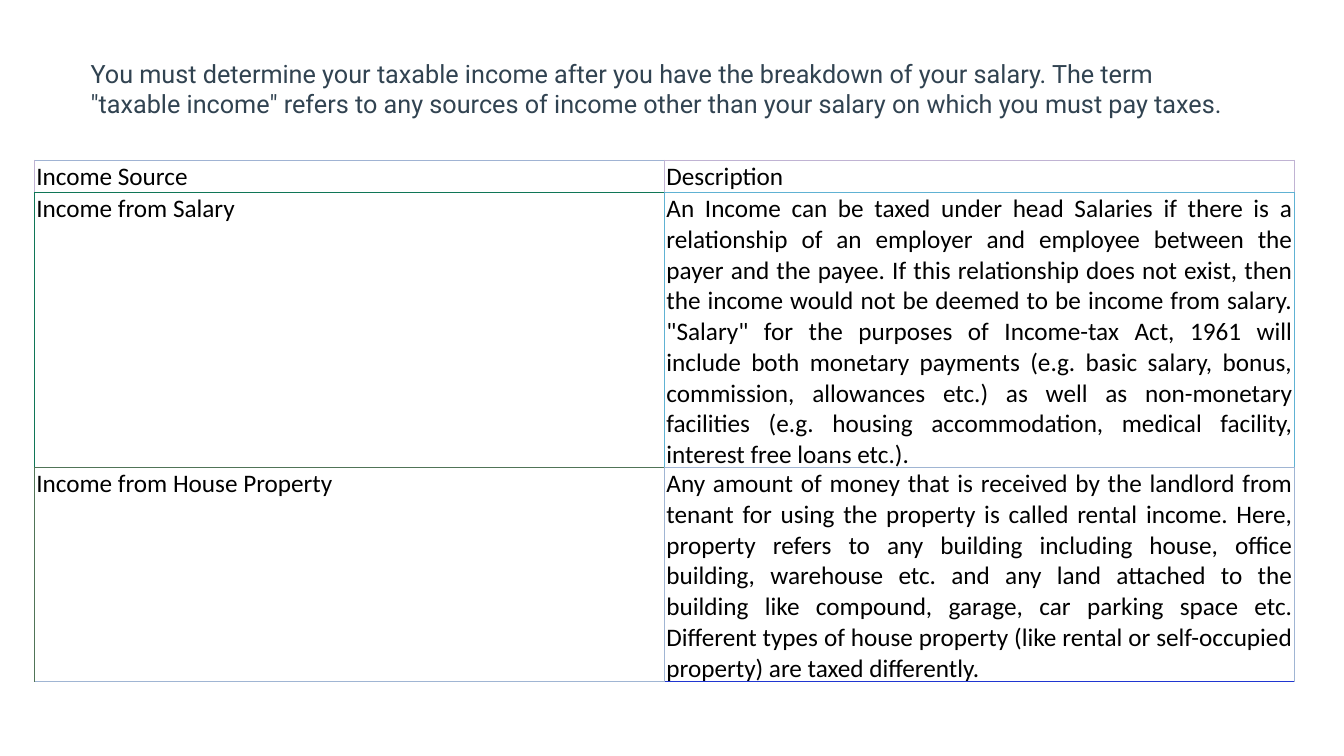
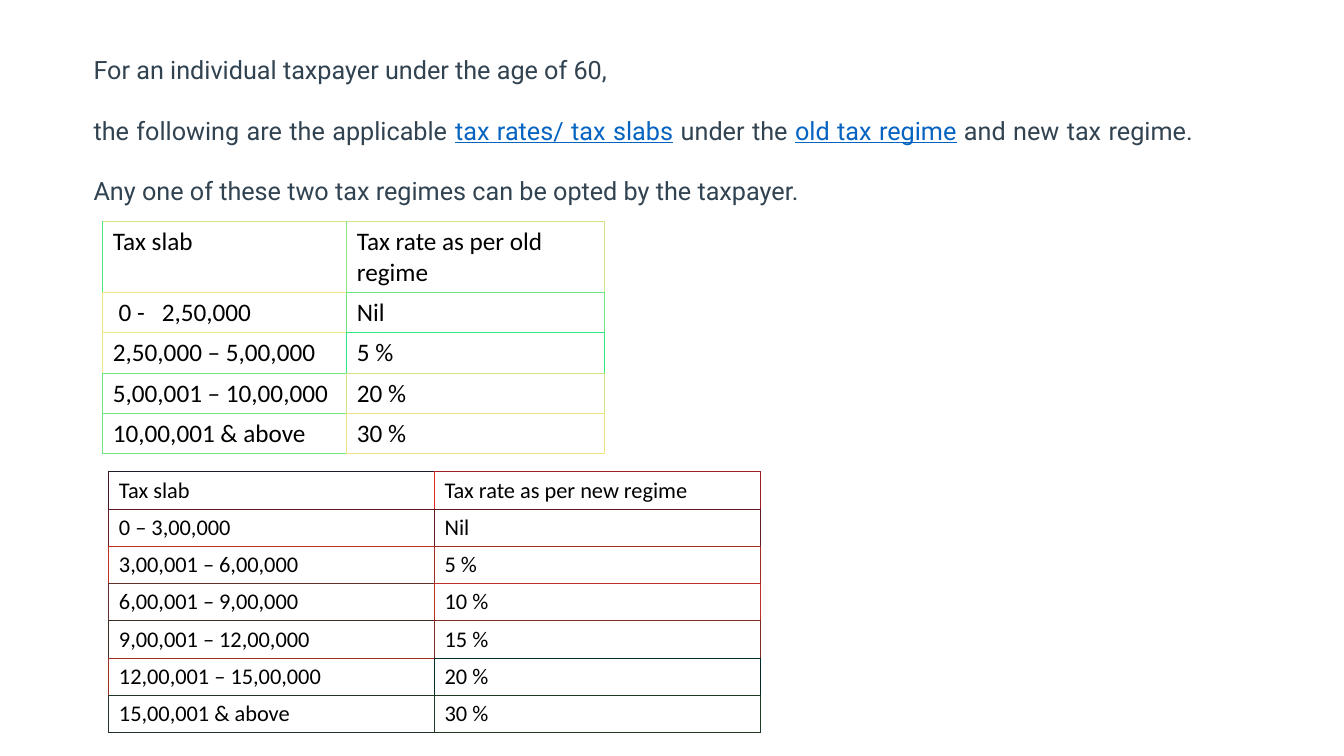
from lxml.etree import SubElement
from pptx import Presentation
from pptx.dml.color import RGBColor
from pptx.enum.text import MSO_AUTO_SIZE, PP_ALIGN
from pptx.oxml.ns import qn
from pptx.util import Inches, Pt

# Shared style
SLATE, LINK, BLACK, WHITE = "314351", "0563C1", "000000", "FFFFFF"
INTRO_FONT, TABLE_FONT = "Roboto", "Calibri"
BORDER_WIDTH = Pt(0.75)
CELL_MARGINS = (0.1, 0.05)


def rgb(value):
    return RGBColor.from_string(value)


def add_text(p, text, size=18, font=TABLE_FONT, color=BLACK, underline=None):
    r = p.add_run()
    r.text = text
    r.font.size = Pt(size)
    r.font.name = font
    r.font.color.rgb = rgb(color)
    r.font.underline = underline


def add_intro(s, left, top, width, height, paragraphs, align=None, spacing=None):
    """Each paragraph is a list of (text, is_link) pairs."""
    sp = s.shapes.add_textbox(Inches(left), Inches(top), Inches(width), Inches(height))
    tf = sp.text_frame
    tf.word_wrap = True
    tf.auto_size = MSO_AUTO_SIZE.SHAPE_TO_FIT_TEXT
    for i, parts in enumerate(paragraphs):
        p = tf.add_paragraph() if i else tf.paragraphs[0]
        p.alignment = align
        p.line_spacing = spacing
        for text, is_link in parts:
            add_text(p, text, font=INTRO_FONT, color=LINK if is_link else SLATE,
                     underline=is_link or None)


def set_borders(cell, colors):
    tcPr = cell._tc.get_or_add_tcPr()
    for side in "LRTB":
        ln = SubElement(tcPr, qn(f"a:ln{side}"), w=str(BORDER_WIDTH))
        fill = SubElement(ln, qn("a:solidFill"))
        SubElement(fill, qn("a:srgbClr"), val=colors[side])


def border_colors(tints, row, col):
    """Left and top use the cell's tint; right and bottom its neighbours' tints."""
    own = tints[row][col]
    right = tints[row][col + 1] if col + 1 < len(tints[row]) else own
    below = tints[row + 1][col] if row + 1 < len(tints) else own
    return {"L": own, "T": own, "R": right, "B": below}


def add_grid(s, left, top, cols, rows, texts, tints, special, size=18,
             margins=CELL_MARGINS, justify_body=False):
    """special holds the border colours that differ from the tint rule."""
    frame = s.shapes.add_table(len(rows), len(cols), Inches(left), Inches(top),
                               Inches(sum(cols)), Inches(sum(rows)))
    table = frame.table
    table.first_row = table.horz_banding = False
    for column, width in zip(table.columns, cols):
        column.width = Inches(width)
    for row, height in zip(table.rows, rows):
        row.height = Inches(height)
    for i, row_texts in enumerate(texts):
        for j, text in enumerate(row_texts):
            cell = table.cell(i, j)
            cell.margin_left = cell.margin_right = Inches(margins[0])
            cell.margin_top = cell.margin_bottom = Inches(margins[1])
            set_borders(cell, border_colors(tints, i, j) | special.get((i, j), {}))
            cell.fill.solid()
            cell.fill.fore_color.rgb = rgb(WHITE)
            p = cell.text_frame.paragraphs[0]
            if justify_body and i and j:
                p.alignment = PP_ALIGN.JUSTIFY
            add_text(p, text, size=size)


# Table content
INCOME = [
    ("Income Source", "Description"),
    ("Income from Salary",
     "An Income can be taxed under head Salaries if there is a relationship of an "
     "employer and employee between the payer and the payee. If this relationship "
     "does not exist, then the income would not be deemed to be income from salary. "
     '"Salary" for the purposes of Income-tax Act, 1961 will include both monetary '
     "payments (e.g. basic salary, bonus, commission, allowances etc.) as well as "
     "non-monetary facilities (e.g. housing accommodation, medical facility, "
     "interest free loans etc.)."),
    ("Income from House Property",
     "Any amount of money that is received by the landlord from tenant for using the "
     "property is called rental income. Here, property refers to any building "
     "including house, office building, warehouse etc. and any land attached to the "
     "building like compound, garage, car parking space etc. Different types of house "
     "property (like rental or self-occupied property) are taxed differently."),
]
INCOME_TINTS = [("C0B3D3", "C0B3D3"), ("107657", "60B2D3"), ("507457", "A0B5D3")]
INCOME_SPECIAL = {(0, 0): {"T": "A0B3D3", "R": "60B5D3"},
                  (2, 0): {"B": "A0B5D3"}, (2, 1): {"B": "2036D1"}}

OLD_REGIME = [
    ("Tax slab", "Tax rate as per old regime"),
    (" 0 -   2,50,000", "Nil"),
    ("2,50,000 – 5,00,000", "5 %"),
    ("5,00,001 – 10,00,000", "20 %"),
    ("10,00,001 & above", "30 %"),
]
OLD_TINTS = [("50E485", "D0E685"), ("F0E485", "70E385"), ("F0E685", "30E685"),
             ("70E785", "D0E485"), ("70E785", "F0E485")]
OLD_SPECIAL = {(0, 0): {"T": "D0E685", "R": "90E285"}, (0, 1): {"L": "90E285"}}

NEW_REGIME = [
    ("Tax slab", "Tax rate as per new regime"),
    ("0 – 3,00,000", "Nil"),
    ("3,00,001 – 6,00,000", "5 %"),
    ("6,00,001 – 9,00,000", "10 %"),
    ("9,00,001 – 12,00,000", "15 %"),
    ("12,00,001 – 15,00,000", "20 %"),
    ("15,00,001 & above", "30 %"),
]
NEW_TINTS = [("401A26", "A01B26"), ("601B26", "601B26"), ("C02F26", "A02D26"),
             ("603126", "C02F26"), ("402C26", "802C26"), ("A02C26", "002E26"),
             ("203526", "203926")]
NEW_SPECIAL = {(0, 0): {"T": "201A26", "R": "E02826"}, (0, 1): {"L": "E02826"}}


def income_slide(s):
    add_intro(s, 0.8, 0.53, 11.59, 0.71, [[
        ("You must determine your taxable income after you have the breakdown of your "
         'salary. The term "taxable income" refers to any sources of income other than '
         "your salary on which you must pay taxes.", False)]])
    add_grid(s, 0.34, 1.59, [6.25] * 2, [0.32, 2.73, 2.12], INCOME, INCOME_TINTS,
             INCOME_SPECIAL, margins=(0.02, 0.01), justify_body=True)


def tax_slab_slide(s):
    add_intro(s, 0.83, 0.19, 11.1, 1.83, [
        [("For an individual taxpayer under the age of 60, ", False)],
        [("the following are the applicable ", False),
         ("tax rates/ tax slabs", True),
         (" under the ", False),
         ("old tax regime", True),
         (" and new tax regime. Any one of these two tax regimes can be opted by the "
          "taxpayer.", False)],
    ], align=PP_ALIGN.JUSTIFY, spacing=2.0)
    add_grid(s, 1.02, 2.2, [2.42, 2.56], [0.7] + [0.4] * 4, OLD_REGIME, OLD_TINTS,
             OLD_SPECIAL)
    add_grid(s, 1.08, 4.68, [3.23] * 2, [0.37] * 7, NEW_REGIME, NEW_TINTS,
             NEW_SPECIAL, size=16)


def main():
    prs = Presentation()
    prs.slide_width, prs.slide_height = Inches(13.33), Inches(7.5)
    for build in (income_slide, tax_slab_slide):
        build(prs.slides.add_slide(prs.slide_layouts[6]))
    prs.save("out.pptx")


if __name__ == "__main__":
    main()
